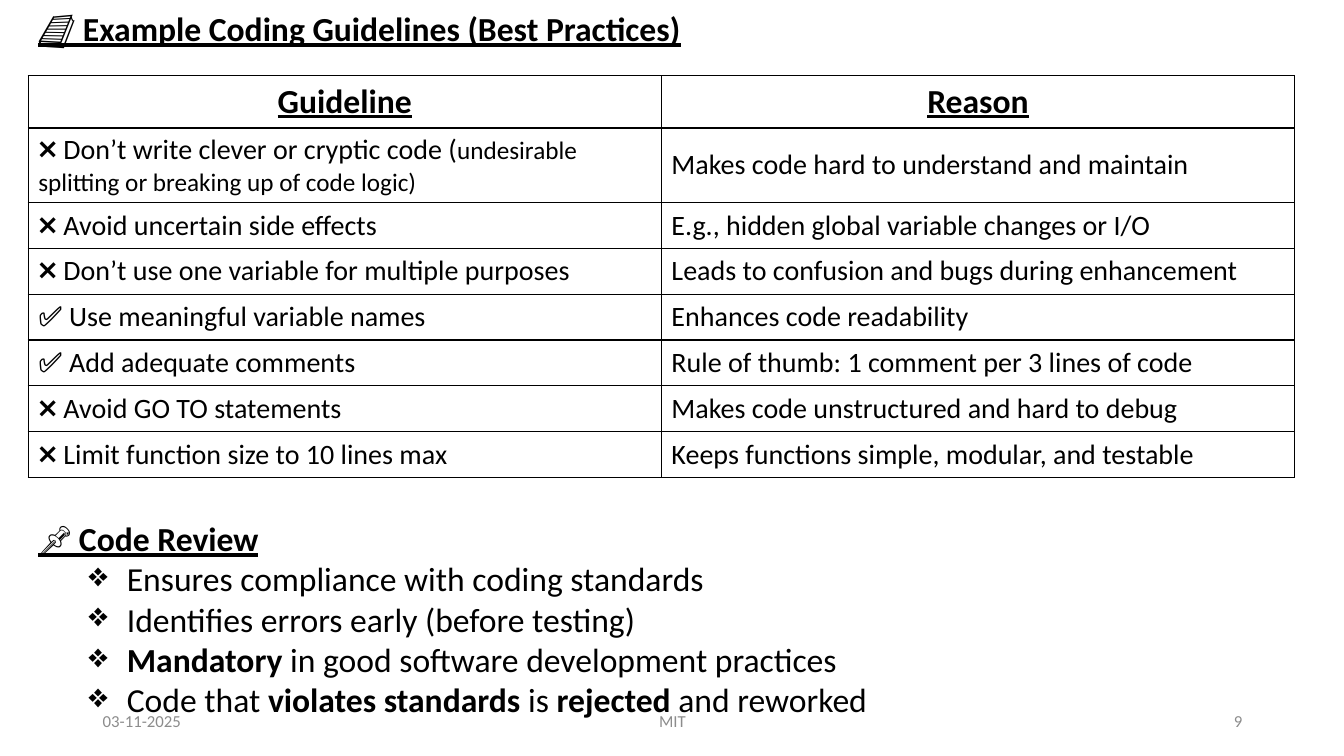
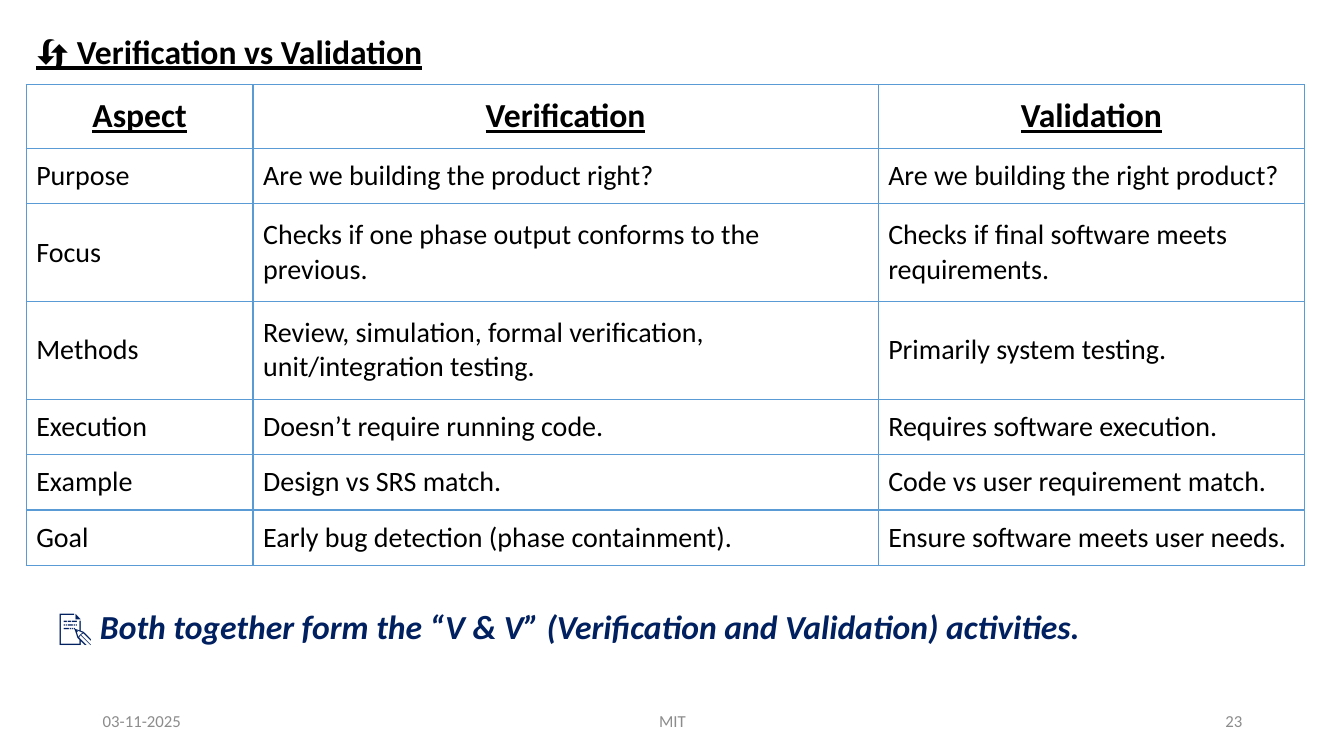
from dataclasses import dataclass

from lxml.etree import SubElement
from pptx import Presentation
from pptx.dml.color import RGBColor
from pptx.enum.text import MSO_ANCHOR as Anchor, MSO_AUTO_SIZE as AutoSize, PP_ALIGN as Align
from pptx.oxml.ns import qn
from pptx.util import Inches, Pt


@dataclass(frozen=True)
class Theme:
    font: str = "Calibri"
    black: str = "000000"
    navy: str = "002060"
    blue: str = "5B9BD5"
    grey: str = "8C8C8C"
    heading_size: int = 24
    body_size: int = 20
    small_size: int = 18
    footer_size: int = 12


THEME = Theme()
LARGE = {"size": THEME.heading_size, "color": THEME.black}
HEADING = {**LARGE, "bold": True, "underline": True}
BODY = {"size": THEME.body_size, "color": THEME.black}
SMALL = {"size": THEME.small_size}
BOLD = {"bold": True}
NOTE = {"size": THEME.heading_size, "color": THEME.navy, "bold": True}
FOOTER = {"size": THEME.footer_size, "color": THEME.grey}

DATE, ORGANISATION = "03-11-2025", "MIT"

# A text is a string, or a list of strings and (string, format) pairs.
GUIDELINES = [
    ("Guideline", "Reason"),
    (["❌ Don’t write clever or cryptic code (",
      ("undesirable splitting or breaking up of code logic)", SMALL)],
     "Makes code hard to understand and maintain"),
    ("❌ Avoid uncertain side effects", "E.g., hidden global variable changes or I/O"),
    ("❌ Don’t use one variable for multiple purposes",
     "Leads to confusion and bugs during enhancement"),
    ("✅ Use meaningful variable names", "Enhances code readability"),
    ("✅ Add adequate comments", "Rule of thumb: 1 comment per 3 lines of code"),
    ("❌ Avoid GO TO statements", "Makes code unstructured and hard to debug"),
    ("❌ Limit function size to 10 lines max", "Keeps functions simple, modular, and testable"),
]
REVIEW_TITLE = "📌 Code Review"
REVIEW_POINTS = [
    "Ensures compliance with coding standards",
    "Identifies errors early (before testing)",
    [("Mandatory", BOLD), " in good software development practices"],
    ["Code that ", ("violates standards", BOLD), " is ", ("rejected", BOLD), " and reworked"],
]
COMPARISON = [
    ("Aspect", "Verification", "Validation"),
    ("Purpose", "Are we building the product right?", "Are we building the right product?"),
    ("Focus", "Checks if one phase output conforms to the previous.",
     "Checks if final software meets requirements."),
    ("Methods", "Review, simulation, formal verification, unit/integration testing.",
     "Primarily system testing."),
    ("Execution", "Doesn’t require running code.", "Requires software execution."),
    ("Example", "Design vs SRS match.", "Code vs user requirement match."),
    ("Goal", "Early bug detection (phase containment).", "Ensure software meets user needs."),
]
VV_NOTE = ["📝 ", ("Both together form the “V & V” (Verification and Validation) activities.",
                   {"italic": True})]


def write(paragraph, text, style, align=Align.LEFT):
    paragraph.alignment = align
    for part in [text] if isinstance(text, str) else text:
        words, changes = (part, {}) if isinstance(part, str) else part
        values = {**style, **changes}
        run = paragraph.add_run()
        run.text = words
        run.font.color.rgb = RGBColor.from_string(values.pop("color"))
        values["size"] = Pt(values["size"])
        for name, value in {"name": THEME.font, **values}.items():
            setattr(run.font, name, value)


def add_text(slide, box, text, style, align=Align.LEFT, **frame_format):
    frame = slide.shapes.add_textbox(*map(Inches, box)).text_frame
    settings = {"word_wrap": True, "auto_size": AutoSize.SHAPE_TO_FIT_TEXT, **frame_format}
    for name, value in settings.items():
        setattr(frame, name, value)
    write(frame.paragraphs[0], text, style, align)
    return frame


def add_bullet(frame, text):
    paragraph = frame.add_paragraph()
    paragraph.level = 1
    properties = paragraph._p.get_or_add_pPr()
    properties.set("marL", str(Inches(0.88)))
    properties.set("indent", str(Inches(-0.38)))
    SubElement(properties, qn("a:buChar"), char="❖")
    write(paragraph, text, LARGE)


def add_borders(cell, color):
    properties = cell._tc.get_or_add_tcPr()
    for side in ("lnL", "lnR", "lnT", "lnB"):
        line = SubElement(properties, qn(f"a:{side}"), w=str(Pt(1)))
        SubElement(SubElement(line, qn("a:solidFill")), qn("a:srgbClr"), val=color)


def add_grid(slide, left, top, widths, heights, rows, border):
    box = map(Inches, (left, top, sum(widths), sum(heights)))
    table = slide.shapes.add_table(len(rows), len(widths), *box).table
    table.first_row = table.horz_banding = False
    for column, width in zip(table.columns, widths):
        column.width = Inches(width)
    for row_index, (texts, height) in enumerate(zip(rows, heights)):
        table.rows[row_index].height = Inches(height)
        style, align = (BODY, Align.LEFT) if row_index else (HEADING, Align.CENTER)
        for column_index, text in enumerate(texts):
            cell = table.cell(row_index, column_index)
            cell.vertical_anchor = Anchor.MIDDLE
            add_borders(cell, border)
            cell.fill.background()
            write(cell.text_frame.paragraphs[0], text, style, align)


def new_slide(presentation, title, title_box, number):
    """Add a blank slide with the shared title style and footer."""
    slide = presentation.slides.add_slide(presentation.slide_layouts[6])
    add_text(slide, title_box, title, HEADING, word_wrap=False)
    for left, width, text, align in (
        (0.92, 3, DATE, Align.LEFT),
        (4.42, 4.5, ORGANISATION, Align.CENTER),
        (9.42, 3, str(number), Align.RIGHT),
    ):
        add_text(slide, (left, 6.95, width, 0.4), text, FOOTER, align,
                 auto_size=AutoSize.NONE, vertical_anchor=Anchor.MIDDLE)
    return slide


def build_guidelines(presentation):
    left, width = 0.28, 12.56
    slide = new_slide(presentation, "📘 Example Coding Guidelines (Best Practices)",
                      (left, 0.03, 6.6, 0.5), 9)
    header, two_lines, total = 0.52, 0.74, 3.99
    single_rows = len(GUIDELINES) - 2
    single = (total - header - two_lines) / single_rows
    add_grid(slide, left, 0.75, [width / 2] * 2,
             [header, two_lines] + [single] * single_rows, GUIDELINES, THEME.black)
    frame = add_text(slide, (left, 5.09, width, 2.12), REVIEW_TITLE, HEADING)
    for point in REVIEW_POINTS:
        add_bullet(frame, point)


def build_comparison(presentation):
    left = 0.26
    slide = new_slide(presentation, "🔄 Verification vs Validation", (left, 0.26, 4.08, 0.5), 23)
    single, double = 0.55, 0.97
    add_grid(slide, left, 0.84, [2.25, 6.2, 4.23],
             [0.63, single, double, double, single, single, single], COMPARISON, THEME.blue)
    add_text(slide, (0.48, 5.96, 12.47, 0.5), VV_NOTE, NOTE, Align.JUSTIFY)


def main():
    presentation = Presentation()
    presentation.slide_width, presentation.slide_height = Inches(13.33), Inches(7.5)
    build_guidelines(presentation)
    build_comparison(presentation)
    presentation.save("out.pptx")


if __name__ == "__main__":
    main()
